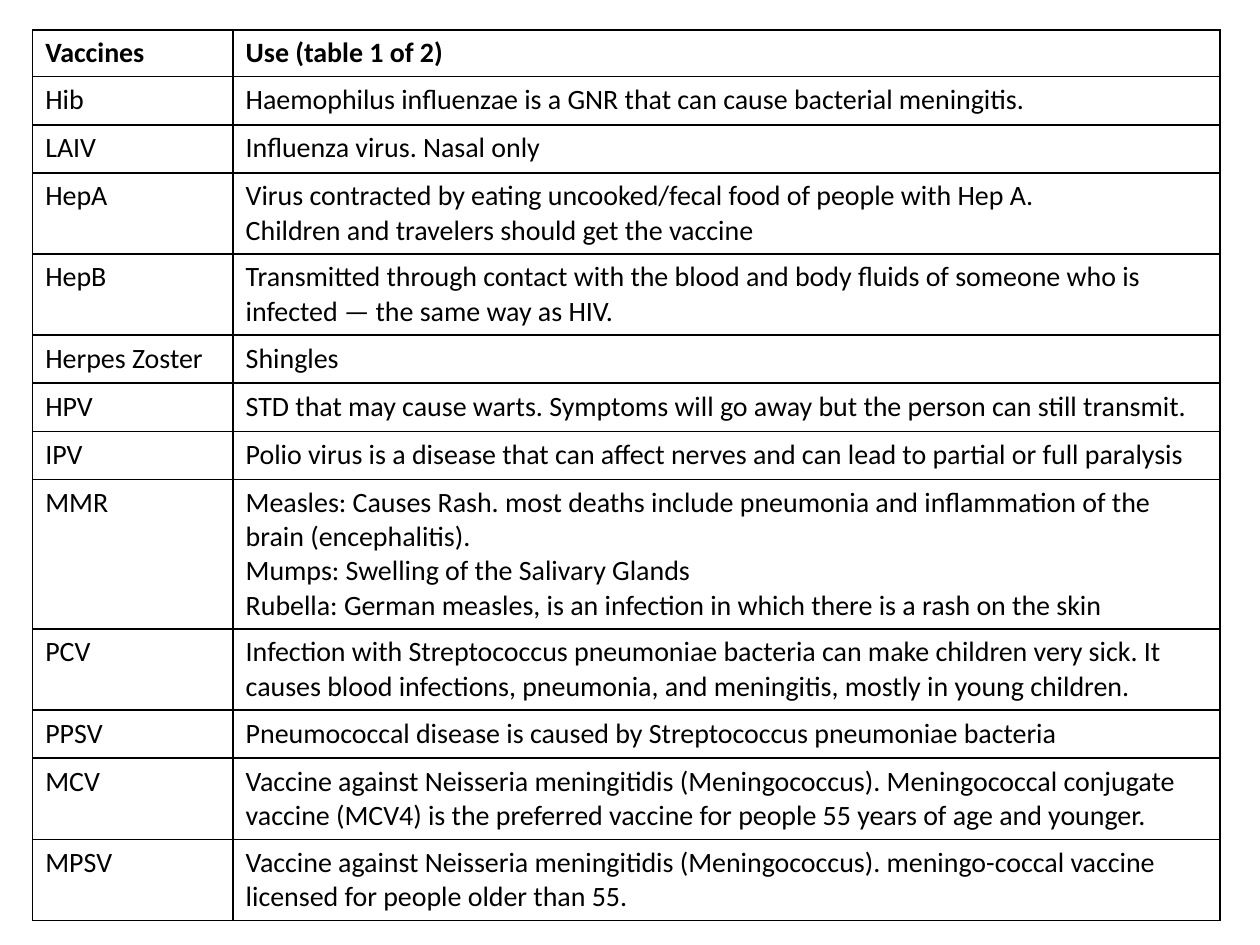
from lxml import etree
from pptx import Presentation
from pptx import util as u
from pptx.dml.color import RGBColor
from pptx.oxml import ns

BLACK = RGBColor(0, 0, 0)

HEADER = ("Vaccines", "Use (table 1 of 2)")
VACCINES = [
    ("Hib", "Haemophilus influenzae is a GNR that can cause bacterial meningitis."),
    ("LAIV", "Influenza virus. Nasal only"),
    ("HepA", "Virus contracted by eating uncooked/fecal food of people with Hep A.\n"
             "Children and travelers should get the vaccine"),
    ("HepB", "Transmitted through contact with the blood and body fluids of someone "
             "who is infected — the same way as HIV."),
    ("Herpes Zoster", "Shingles"),
    ("HPV", "STD that may cause warts. Symptoms will go away but the person can "
            "still transmit."),
    ("IPV", "Polio virus is a disease that can affect nerves and can lead to partial "
            "or full paralysis"),
    ("MMR", "Measles: Causes Rash. most deaths include pneumonia and inflammation "
            "of the brain (encephalitis).\n"
            "Mumps: Swelling of the Salivary Glands\n"
            "Rubella: German measles, is an infection in which there is a rash on the skin"),
    ("PCV", "Infection with Streptococcus pneumoniae bacteria can make children very "
            "sick. It causes blood infections, pneumonia, and meningitis, mostly in "
            "young children."),
    ("PPSV", "Pneumococcal disease is caused by Streptococcus pneumoniae bacteria"),
    ("MCV", "Vaccine against Neisseria meningitidis (Meningococcus). Meningococcal "
            "conjugate vaccine (MCV4) is the preferred vaccine for people 55 years of "
            "age and younger."),
    ("MPSV", "Vaccine against Neisseria meningitidis (Meningococcus). meningo-coccal "
             "vaccine licensed for people older than 55."),
]


class SlideBuilder:
    font_name = "Calibri"
    font_size = u.Pt(16)
    color = BLACK
    border_width = u.Pt(1)

    def __init__(self, deck):
        self.page = deck.slides.add_slide(deck.slide_layouts[6])

    def table(self, left, top, height, column_widths, row_heights, rows):
        frame = self.page.shapes.add_table(
            len(rows), len(column_widths), u.Cm(left), u.Cm(top),
            u.Cm(sum(column_widths)), u.Cm(height))
        table = frame.table
        table.horz_banding = False
        for column, width in zip(table.columns, column_widths):
            column.width = u.Cm(width)
        for row, row_height in zip(table.rows, row_heights):
            row.height = u.Cm(row_height)
        for index, (row, values) in enumerate(zip(table.rows, rows)):
            for cell, value in zip(row.cells, values):
                self.cell(cell, value, bold=index == 0)
        frame.height = u.Cm(height)

    def cell(self, cell, value, bold):
        cell.text = value
        for para in cell.text_frame.paragraphs:
            para.font.name = self.font_name
            para.font.size = self.font_size
            para.font.bold = bold
            para.font.color.rgb = self.color
        self.borders(cell)
        cell.fill.background()

    def borders(self, cell):
        properties = cell._tc.get_or_add_tcPr()
        for side in ("lnL", "lnR", "lnT", "lnB"):
            line = etree.SubElement(properties, ns.qn(f"a:{side}"), w=str(self.border_width))
            fill = etree.SubElement(line, ns.qn("a:solidFill"))
            etree.SubElement(fill, ns.qn("a:srgbClr"), val=str(self.color))


def main():
    deck = Presentation()
    deck.slide_width = u.Cm(25.4)
    deck.slide_height = u.Cm(19.05)
    builder = SlideBuilder(deck)
    builder.table(
        left=0.66, top=0.6, height=17.7,
        column_widths=[4.04, 19.89],
        row_heights=[0.58] + [0.97] * len(VACCINES),
        rows=[HEADER] + VACCINES)
    deck.save("out.pptx")


if __name__ == "__main__":
    main()
